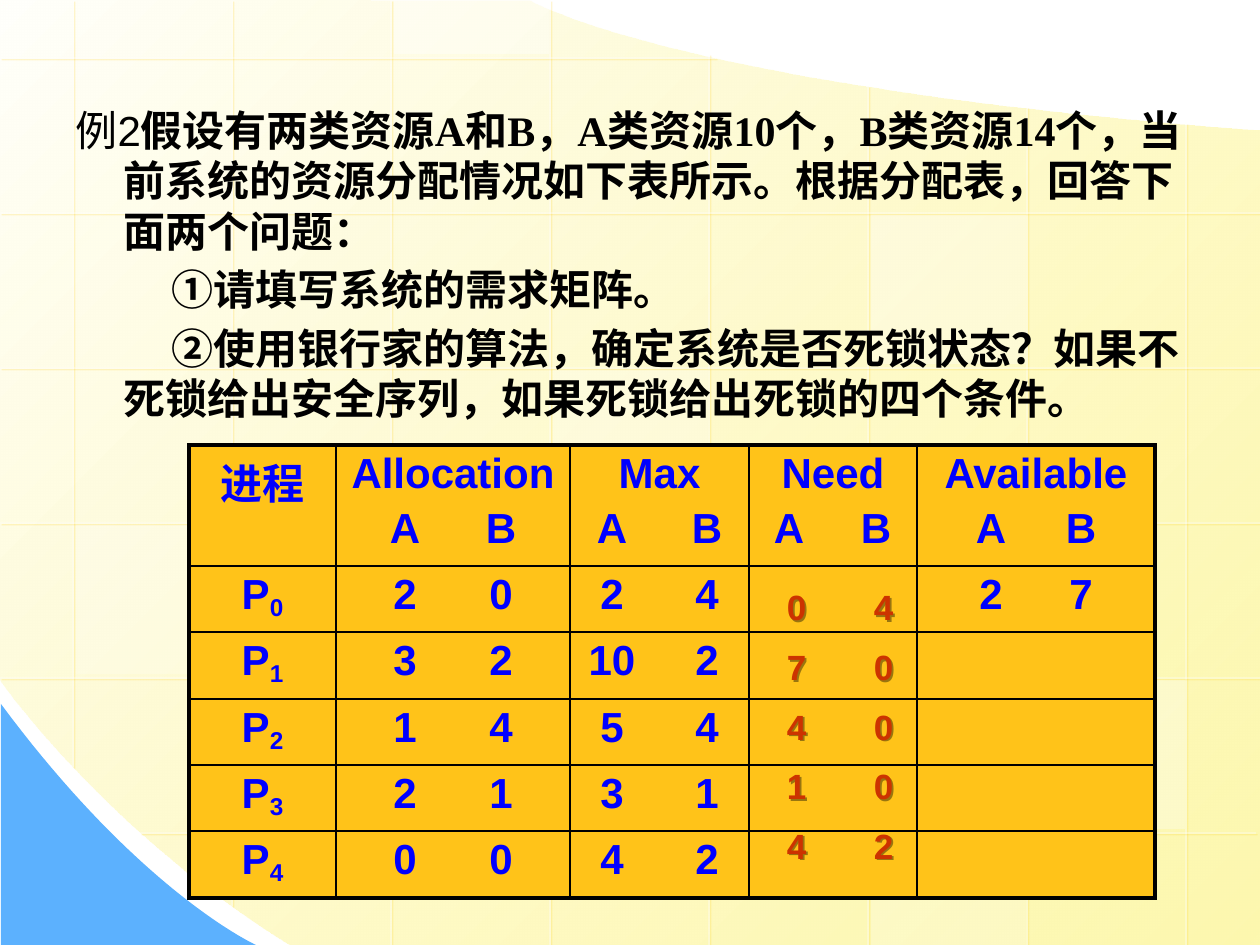
"""Build a slide posing a banker's algorithm exercise with its allocation table."""
import dataclasses
import itertools
import typing

import lxml.etree
import pptx
import pptx.dml.color
import pptx.enum.dml
import pptx.enum.shapes
import pptx.enum.text
import pptx.oxml.ns
import pptx.util

RGB = pptx.dml.color.RGBColor
ALIGN = pptx.enum.text.PP_ALIGN
ANCHOR = pptx.enum.text.MSO_ANCHOR
qn = pptx.oxml.ns.qn

SCALE = 914400 / 126
W, H = 1260, 945
GRID_X, GRID_Y, STEP_X, STEP_Y = 73, 58, 159, 155

BLACK = RGB(0x00, 0x00, 0x00)
WHITE = RGB(0xFF, 0xFF, 0xFF)
CREAM = RGB(0xFF, 0xFF, 0xFB)
YELLOW = RGB(0xFD, 0xF5, 0x8D)
GOLD = RGB(0xFF, 0xCC, 0x00)
SKY = RGB(0x5C, 0xB1, 0xFE)
AMBER = RGB(0xFF, 0xC3, 0x19)
BLUE = RGB(0x00, 0x00, 0xFF)
RED = RGB(0xCC, 0x33, 0x00)

Point = tuple[float, float]


class Tile(typing.NamedTuple):
    col: int
    row: int
    alpha: int


@dataclasses.dataclass(frozen=True)
class Column:
    title: str
    left: int
    right: int
    stops: tuple[int, ...] = ()
    values: tuple[typing.Sequence[str], ...] = ()


VERTICALS = [(0, 767), (0, 906), (0, 945), (0, 947), (54, 947), (86, 947), (107, 947), (123, 947)]
HORIZONTALS = [(716, 0)] + [(1261, 0)] * 4 + [(1256, 140)]
TILES = [Tile(3, 2, 25), Tile(6, 4, 30), Tile(0, 3, 20), Tile(5, 5, 20),
         Tile(2, -1, 40), Tile(2, 4, 30), Tile(5, 1, 30)]
COLUMNS = [
    Column("进程", 189, 336),
    Column("Allocation", 336, 570, (69, 165), ("20", "32", "14", "21", "00")),
    Column("Max", 570, 749, (42, 137), ("24", ("10", "2"), "54", "31", "42")),
    Column("Need", 749, 917, (40, 127)),
    Column("Available", 917, 1155, (74, 164), ("27",)),
]
ROW_HEIGHTS = [121, 66, 67, 66, 66, 67]
NEEDS = ["04", "70", "40", "10", "42"]


def px(n: float) -> pptx.util.Emu:
    return pptx.util.Emu(round(n * SCALE))


def sub(parent, tag: str, **attrs):
    return lxml.etree.SubElement(parent, qn(tag), {k: str(v) for k, v in attrs.items()})


def set_alpha(parent, percent: int) -> None:
    """Make the last colour below an element translucent."""
    sub(list(parent.iter(qn("a:srgbClr")))[-1], "a:alpha", val=percent * 1000)


def add_shadow(parent, color: RGB, percent: int) -> None:
    shadow = sub(sub(parent, "a:effectLst"), "a:outerShdw", dist=17780, dir=2700000)
    sub(shadow, "a:srgbClr", val=color)
    set_alpha(shadow, percent)


def curve(a: Point, b: Point, c: Point, d: Point, steps: int = 40) -> list[Point]:
    """Return the points of a cubic Bezier curve."""
    ts = [i / steps for i in range(steps + 1)]
    return [tuple((1 - t) ** 3 * m + 3 * t * (1 - t) ** 2 * n + 3 * t * t * (1 - t) * o + t ** 3 * q
                  for m, n, o, q in zip(a, b, c, d)) for t in ts]


def add_outline(s, points: list[Point]):
    pts = [(px(x), px(y)) for x, y in points]
    fb = s.shapes.build_freeform(*pts[0], scale=1.0)
    fb.add_line_segments(pts[1:], close=True)
    sp = fb.convert_to_shape()
    sp.shadow.inherit = False
    sp.line.fill.background()
    return sp


def add_grid_line(s, x1: int, y1: int, x2: int, y2: int) -> None:
    c = s.shapes.add_connector(pptx.enum.shapes.MSO_CONNECTOR.STRAIGHT, px(x1), px(y1), px(x2), px(y2))
    c.line.color.rgb = WHITE
    c.line.width = pptx.util.Pt(0.75)
    sppr = c._element.spPr
    set_alpha(sppr, 50)
    add_shadow(sppr, GOLD, 34)


def add_tile(s, tile: Tile) -> None:
    x, y = GRID_X + 3 + tile.col * STEP_X, GRID_Y + 2 + tile.row * STEP_Y
    top, bottom = max(y, 0), min(y + 149, H)
    sp = s.shapes.add_shape(pptx.enum.shapes.MSO_SHAPE.RECTANGLE, px(x), px(top), px(155), px(bottom - top))
    sp.shadow.inherit = False
    sp.fill.solid()
    sp.fill.fore_color.rgb = WHITE
    set_alpha(sp._element.spPr, tile.alpha)
    sp.line.fill.background()


def add_background(s) -> None:
    sheet = add_outline(s, [(1260, 131), (1260, 945)]
                        + curve((290, 945), (108, 833), (-1, 679), (0, 679)) + [(-1, -1)]
                        + curve((530, 1), (530, 1), (676, 87), (1260, 131)))
    sheet.fill.gradient()
    sheet.fill.gradient_angle = 315
    for stop, color in zip(sheet.fill.gradient_stops, (CREAM, YELLOW)):
        stop.color.rgb = color
    set_alpha(sheet._element.spPr, 70)
    corner = add_outline(s, [(1, 704), (1, 945)] + curve((256, 945), (256, 945), (141, 893), (1, 704)))
    corner.fill.solid()
    corner.fill.fore_color.rgb = SKY
    for i, (top, bottom) in enumerate(VERTICALS):
        add_grid_line(s, GRID_X + i * STEP_X, top, GRID_X + i * STEP_X, bottom)
    for i, (right, left) in enumerate(HORIZONTALS):
        add_grid_line(s, right, GRID_Y + i * STEP_Y, left, GRID_Y + i * STEP_Y)
    for tile in TILES:
        add_tile(s, tile)


def add_tabs(p, stops: typing.Iterable[int], algn: str) -> None:
    tabs = sub(p._p.get_or_add_pPr(), "a:tabLst")
    for x in stops:
        sub(tabs, "a:tab", pos=px(x), algn=algn)


def style(p, size: int, color: RGB, name: str = "Arial", bold: bool = True) -> None:
    p.font.size, p.font.name, p.font.bold = pptx.util.Pt(size), name, bold
    p.font.color.rgb = color


def next_paragraph(tf, gap: float):
    """Return the empty first paragraph, or a new one set off by a gap in points."""
    p = tf.paragraphs[0]
    if p.runs:
        p = tf.add_paragraph()
    p.space_before = pptx.util.Pt(gap if len(tf.paragraphs) > 1 else 0)
    return p


def fill_question(s, body) -> None:
    s.shapes._spTree.append(body._element)
    body.left, body.top, body.width, body.height = px(63), px(98), px(1144), px(336)
    tf = body.text_frame
    tf.auto_size = pptx.enum.text.MSO_AUTO_SIZE.NONE
    tf.vertical_anchor = ANCHOR.TOP
    lines = [
        ("例2", "假设有两类资源A和B，A类资源10个，B类资源14个，当前系统的资源分配情况如下表所示。根据分配表，回答下面两个问题："),
        ("", "①请填写系统的需求矩阵。"),
        ("", "②使用银行家的算法，确定系统是否死锁状态？如果不死锁给出安全序列，如果死锁给出死锁的四个条件。"),
    ]
    for label, text in lines:
        p = next_paragraph(tf, 4.6)
        ppr = p._p.get_or_add_pPr()
        ppr.set("marL", str(px(48)))
        ppr.set("indent", str(px(-48 if label else 48)))
        sub(ppr, "a:buNone")
        style(p, 24, BLACK, "Times New Roman")
        if label:
            r = p.add_run()
            r.text, r.font.name, r.font.bold = label, "Arial", False
        p.add_run().text = text


def add_pair(tf, pair: typing.Iterable[str], stops: tuple[int, ...]) -> None:
    """Write two values, each centred on its own tab stop."""
    p = next_paragraph(tf, 4.6)
    p.alignment = ALIGN.LEFT
    add_tabs(p, stops, "ctr")
    style(p, 24, BLUE)
    p.add_run().text = "".join("\t" + v for v in pair)


def add_centred(tf, text: str, subscript: str = "") -> None:
    p = next_paragraph(tf, 4.6)
    p.alignment = ALIGN.CENTER
    style(p, 24, BLUE)
    p.add_run().text = text
    if subscript:
        r = p.add_run()
        r.text = subscript
        r._r.get_or_add_rPr().set("baseline", "-16000")


def format_cell(cell, outer: dict[str, bool]) -> None:
    tcpr = cell._tc.get_or_add_tcPr()
    for side, is_outer in outer.items():
        ln = sub(tcpr, "a:ln" + side, w=pptx.util.Pt(2.25 if is_outer else 1))
        sub(sub(ln, "a:solidFill"), "a:srgbClr", val=BLACK)
    cell.fill.solid()
    cell.fill.fore_color.rgb = AMBER
    cell.margin_left = cell.margin_right = 0
    cell.margin_top = cell.margin_bottom = px(6)


def add_allocation_table(s) -> None:
    rows, cols = len(ROW_HEIGHTS), len(COLUMNS)
    left, right = COLUMNS[0].left, COLUMNS[-1].right
    table = s.shapes.add_table(rows, cols, px(left), px(445), px(right - left), px(sum(ROW_HEIGHTS))).table
    table.first_row = table.horz_banding = False
    for row, height in zip(table.rows, ROW_HEIGHTS):
        row.height = px(height)
    for j, column in enumerate(COLUMNS):
        table.columns[j].width = px(column.right - column.left)
        header = table.cell(0, j).text_frame
        add_centred(header, column.title)
        if column.stops:
            add_pair(header, "AB", column.stops)
        for i, pair in enumerate(column.values, 1):
            add_pair(table.cell(i, j).text_frame, pair, column.stops)
    for i in range(1, rows):
        add_centred(table.cell(i, 0).text_frame, "P", str(i - 1))
    for i, j in itertools.product(range(rows), range(cols)):
        format_cell(table.cell(i, j), {"L": j == 0, "R": j == cols - 1, "T": i == 0, "B": i == rows - 1})


def add_needs(s) -> None:
    sp = s.shapes.add_textbox(px(591), px(573), px(328), px(306))
    add_shadow(sp._element.spPr, BLACK, 40)
    tf = sp.text_frame
    tf.word_wrap = True
    tf.vertical_anchor = ANCHOR.MIDDLE
    tf.margin_left = px(196)
    for pair in NEEDS:
        p = next_paragraph(tf, 10)
        add_tabs(p, [87], "l")
        style(p, 20, RED)
        p.add_run().text = "\t".join(pair)


def main() -> None:
    prs = pptx.Presentation()
    prs.slide_width, prs.slide_height = px(W), px(H)
    s = prs.slides.add_slide(prs.slide_layouts[1])
    title, body = s.placeholders
    title._element.getparent().remove(title._element)
    add_background(s)
    fill_question(s, body)
    add_allocation_table(s)
    add_needs(s)
    prs.save("out.pptx")


if __name__ == "__main__":
    main()
